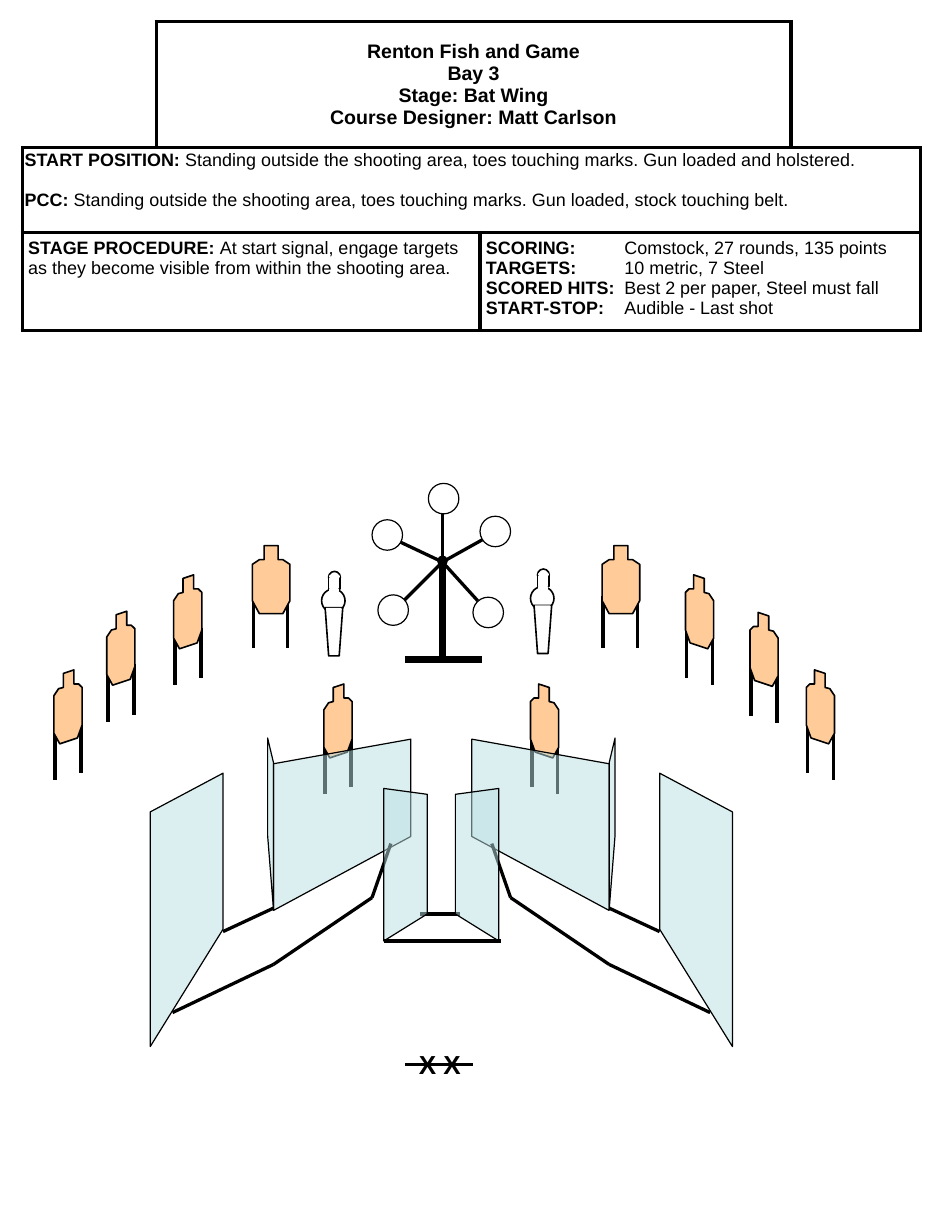
import pptx
import pptx.dml.color
import pptx.enum.shapes
import pptx.enum.text
import pptx.oxml
import pptx.oxml.ns
import pptx.util
from lxml import etree

PX = 9144  # EMU in one px, 100 px to the inch
FONT = "Arial"
BLACK = pptx.dml.color.RGBColor(0x00, 0x00, 0x00)
WHITE = pptx.dml.color.RGBColor(0xFF, 0xFF, 0xFF)
CARDBOARD = pptx.dml.color.RGBColor(0xFF, 0xCC, 0x99)
WALL_BLUE = pptx.dml.color.RGBColor(0xBB, 0xE0, 0xE3)
MIRROR_SUM = 752  # x of a point plus x of its mirror image across the stage
CELL_BORDERS = ("a:lnL", "a:lnR", "a:lnT", "a:lnB")

ANGLED_TARGET = [(8, 3), (17, 0), (17, 12), (21, 12), (24, 15), (24, 47),
                 (20, 58), (5, 63), (0, 54), (0, 22), (4, 16), (8, 15)]
ANGLED_POSTS = [(1, 51, 94), (23, 45, 88)]
FRONT_TARGET = [(10, 0), (22, 0), (22, 12), (26, 12), (32, 16), (32, 47),
                (26, 58), (6, 58), (0, 47), (0, 16), (6, 12), (10, 12)]
FRONT_POSTS = [(1, 43, 87), (30, 43, 87)]


def mirrored(points):
    return [(MIRROR_SUM - x, y) for x, y in points]


class StageDrawing:
    """Holds the slide and the shape collection that new shapes go into."""

    def __init__(self, slide):
        self.slide = slide
        self.shapes = slide.shapes

    def start_group(self):
        self.shapes = self.slide.shapes.add_group_shape().shapes

    def end_group(self):
        self.shapes = self.slide.shapes

    def style(self, shape, fill, line, width):
        shape.shadow.inherit = False
        shape.fill.solid()
        shape.fill.fore_color.rgb = fill
        if line is None:
            shape.line.fill.background()
        else:
            shape.line.color.rgb = line
            shape.line.width = pptx.util.Pt(width)

    def line(self, start, end, width=2):
        connector = self.shapes.add_connector(
            pptx.enum.shapes.MSO_CONNECTOR.STRAIGHT,
            *(value * PX for value in (*start, *end)))
        connector.line.color.rgb = BLACK
        connector.line.width = pptx.util.Pt(width)
        etree.SubElement(connector.element.spPr, pptx.oxml.ns.qn("a:effectLst"))

    def outline(self, points, fill, width=1):
        builder = self.shapes.build_freeform(*points[0], scale=PX)
        builder.add_line_segments(points[1:], close=True)
        shape = builder.convert_to_shape()
        self.style(shape, fill, BLACK, width)
        return shape

    def wall(self, points):
        shape = self.outline(points, WALL_BLUE, 0.75)
        color = shape.element.spPr.find(".//" + pptx.oxml.ns.qn("a:srgbClr"))
        etree.SubElement(color, pptx.oxml.ns.qn("a:alpha"), val="50000")

    def preset(self, kind, left, top, width, height, fill=WHITE, line=BLACK,
               line_width=1):
        shape = self.shapes.add_shape(
            kind, left * PX, top * PX, width * PX, height * PX)
        self.style(shape, fill, line, line_width)

    def circle(self, left, top, size, fill=WHITE, line_width=0.75):
        self.preset(pptx.enum.shapes.MSO_SHAPE.OVAL, left, top, size, size,
                    fill, line_width=line_width)

    def box(self, left, top, width, height, line):
        self.preset(pptx.enum.shapes.MSO_SHAPE.RECTANGLE, left, top, width,
                    height, line=line)

    def target(self, left, top, points, posts, flip_width=0):
        """Cardboard target on two posts; flip_width turns it left to right."""
        def place(x, y):
            return left + (flip_width - x if flip_width else x), top + y

        self.start_group()
        for x, post_top, post_bottom in posts:
            self.line(place(x, post_top), place(x, post_bottom), 2.25)
        self.outline([place(x, y) for x, y in points], CARDBOARD)
        self.end_group()

    def popper(self, left, top):
        self.start_group()
        self.circle(left + 6, top, 10, line_width=1)
        self.circle(left, top + 15, 20, line_width=1)
        self.outline([(left + x, top + y) for x, y in
                      ((3, 31), (18, 31), (15, 72), (6, 72))], WHITE)
        self.box(left + 6, top + 5, 10, 10, BLACK)
        self.box(left + 4, top + 31, 13, 2, None)
        self.box(left + 7, top + 15, 7, 2, WHITE)
        self.box(left + 7, top + 4, 8, 1, WHITE)
        self.end_group()

    def plate_star(self, hub, spoke_ends, plates):
        self.start_group()
        for end in spoke_ends:
            self.line(hub, end)
        for left, top in plates:
            self.circle(left, top, 26)
        self.circle(hub[0] - 4, hub[1] - 5, 8, BLACK)
        self.line((hub[0], 562), (hub[0], 481), 4.5)
        self.line((345, 562), (411, 562), 4.5)
        self.end_group()

    def label(self, text, left, top, width, height, size):
        frame = self.shapes.add_textbox(
            left * PX, top * PX, width * PX, height * PX).text_frame
        paragraph = frame.paragraphs[0]
        paragraph.text = text
        self.set_font(paragraph, size, True)

    def set_font(self, paragraph, size, bold=None):
        paragraph.font.name = FONT
        paragraph.font.size = pptx.util.Pt(size)
        paragraph.font.color.rgb = BLACK
        paragraph.font.bold = bold

    def table(self, left, top, columns, rows):
        table = self.shapes.add_table(
            len(rows), len(columns), left * PX, top * PX,
            sum(columns) * PX, sum(rows) * PX).table
        table.first_row = table.horz_banding = False
        for column, width in zip(table.columns, columns):
            column.width = width * PX
        for row, height in zip(table.rows, rows):
            row.height = height * PX
        return table

    def cell_style(self, cell, borders, margins):
        properties = cell._tc.get_or_add_tcPr()
        for tag in borders:
            border = etree.SubElement(properties, pptx.oxml.ns.qn(tag), w="28575")
            fill = etree.SubElement(border, pptx.oxml.ns.qn("a:solidFill"))
            etree.SubElement(fill, pptx.oxml.ns.qn("a:srgbClr"), val=str(BLACK))
        cell.fill.solid()
        cell.fill.fore_color.rgb = WHITE
        cell.margin_left = cell.margin_right = margins[0] * PX
        cell.margin_top = cell.margin_bottom = margins[1] * PX

    def cell_entries(self, cell, entries, line_spacing=None, gap=0, tab=None):
        """Fill a cell with one paragraph per (bold heading, text) pair."""
        for index, (heading, text) in enumerate(entries):
            frame = cell.text_frame
            paragraph = frame.add_paragraph() if index else frame.paragraphs[0]
            if tab:
                tabs = etree.SubElement(paragraph._p.get_or_add_pPr(),
                                        pptx.oxml.ns.qn("a:tabLst"))
                etree.SubElement(tabs, pptx.oxml.ns.qn("a:tab"),
                                 pos=str(tab * PX), algn="l")
            self.set_font(paragraph, 11)
            paragraph.line_spacing = line_spacing
            if index:
                paragraph.space_before = pptx.util.Pt(gap)
            for content, bold in ((heading, True), (text, False)):
                run = paragraph.add_run()
                run.text = content
                run.font.bold = bold


def add_briefing(drawing):
    table = drawing.table(19, 18, (114, 276, 265, 110), (108, 72, 84))
    for row in range(3):
        for column in range(4):
            borders = CELL_BORDERS
            if row == 0 and column in (0, 3):
                borders = ("a:lnL" if column else "a:lnR", "a:lnB")
            drawing.cell_style(table.cell(row, column), borders,
                               (2, 4) if row == 1 else (5, 5))
    for first, last in (((0, 1), (0, 2)), ((1, 0), (1, 3)),
                        ((2, 0), (2, 1)), ((2, 2), (2, 3))):
        table.cell(*first).merge(table.cell(*last))

    heading = table.cell(0, 1)
    heading.vertical_anchor = pptx.enum.text.MSO_ANCHOR.MIDDLE
    paragraph = heading.text_frame.paragraphs[0]
    paragraph.text = ("Renton Fish and Game\vBay 3\vStage: Bat Wing\v"
                      "Course Designer: Matt Carlson")
    paragraph.alignment = pptx.enum.text.PP_ALIGN.CENTER
    drawing.set_font(paragraph, 12, True)

    drawing.cell_entries(table.cell(1, 0), [
        ("START POSITION:", " Standing outside the shooting area, toes touching "
         "marks. Gun loaded and holstered."),
        ("PCC: ", "Standing outside the shooting area, toes touching marks. "
         "Gun loaded, stock touching belt."),
    ], line_spacing=0.9, gap=13)
    drawing.cell_entries(table.cell(2, 0), [
        ("STAGE PROCEDURE: ", "At start signal, engage targets as they become "
         "visible from within the shooting area.")])
    drawing.cell_entries(table.cell(2, 2), [
        ("SCORING:", "\tComstock, 27 rounds, 135 points"),
        ("TARGETS:", "\t10 metric, 7 Steel"),
        ("SCORED HITS:", "\tBest 2 per paper, Steel must fall"),
        ("START-STOP:", "\tAudible - Last shot"),
    ], tab=118)


def add_stage(drawing):
    for left, top in ((276, 583), (46, 571), (91, 521), (148, 490)):
        drawing.target(left, top, ANGLED_TARGET, ANGLED_POSTS)
    for left, top in ((452, 583), (687, 571), (639, 522), (584, 490)):
        drawing.target(left, top, ANGLED_TARGET, ANGLED_POSTS, flip_width=24)
    for left in (215, 513):
        drawing.target(left, 465, FRONT_TARGET, FRONT_POSTS)

    drawing.line((358, 779), (392, 779))
    middle_wall = [(350, 713), (233, 776), (233, 651), (350, 630)]
    inner_wall = [(327, 802), (327, 672), (364, 677), (364, 779)]
    outer_wall = [(190, 792), (128, 892), (128, 692), (190, 659)]
    edge_wall = [(228, 712), (233, 775), (233, 650), (228, 629)]
    fault_line = [(333, 719), (317, 765), (233, 822), (147, 863)]
    wall_link = [(190, 794), (233, 774)]
    for side in (list, mirrored):
        drawing.wall(side(middle_wall))
        corners = side(fault_line)
        for start, end in zip(corners, corners[1:]):
            drawing.line(start, end)
        for wall in (inner_wall, outer_wall, edge_wall):
            drawing.wall(side(wall))
        drawing.line(*side(wall_link))
    drawing.line((327, 802), (427, 802))

    drawing.plate_star(
        (377, 479),
        ((341, 462), (377, 437), (411, 460), (407, 512), (342, 514)),
        ((317, 443), (365, 412), (409, 440), (403, 509), (322, 507)))
    drawing.popper(274, 487)
    drawing.popper(452, 485)
    drawing.label("X X", 347, 889, 58, 37, 16)
    drawing.line((345, 907), (403, 907))


def main():
    presentation = pptx.Presentation()
    presentation.slide_width = 800 * PX
    presentation.slide_height = 1050 * PX
    drawing = StageDrawing(
        presentation.slides.add_slide(presentation.slide_layouts[6]))
    add_briefing(drawing)
    add_stage(drawing)
    presentation.save("out.pptx")


if __name__ == "__main__":
    main()
